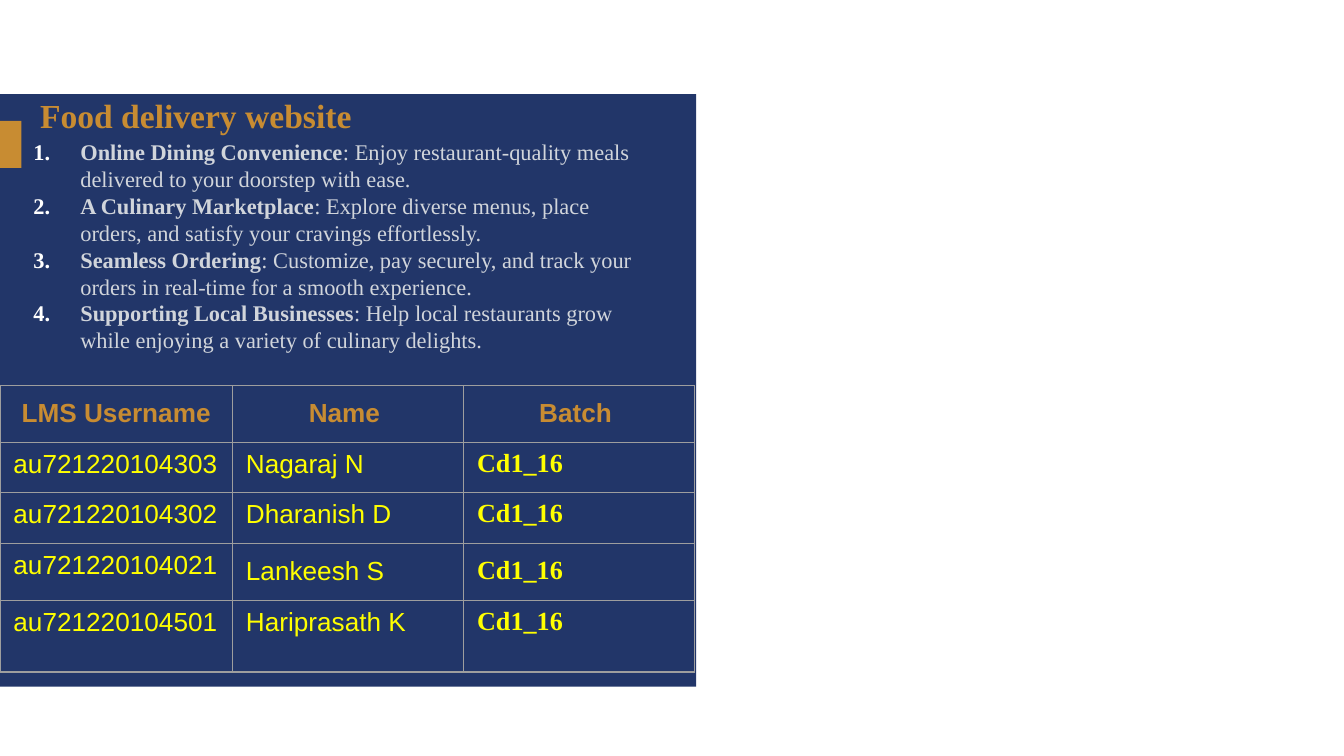
from lxml import etree
from pptx import Presentation, util as u
from pptx.dml.color import RGBColor
from pptx.enum import shapes, text
from pptx.oxml.ns import qn

NAVY, GOLD, GREY, YELLOW = "223669", "C88C32", "D1D5DB", "FFFF00"
WHITE, BORDER = "FFFFFF", "9E9E9E"
SERIF, SANS = "Times New Roman", "Arial"

TITLE = "Food delivery website"
POINTS = [
    ("Online Dining Convenience",
     "Enjoy restaurant-quality meals delivered to your doorstep with ease."),
    ("A Culinary Marketplace",
     "Explore diverse menus, place orders, and satisfy your cravings effortlessly."),
    ("Seamless Ordering",
     "Customize, pay securely, and track your orders in real-time for a smooth experience."),
    ("Supporting Local Businesses",
     "Help local restaurants grow while enjoying a variety of culinary delights."),
]
HEADER = ("LMS Username", "Name ", "Batch ")
BATCH = "Cd1_16"
MEMBERS = [
    ("au721220104303", "Nagaraj N"),
    ("au721220104302", "Dharanish D"),
    ("au721220104021", "Lankeesh S"),
    ("au721220104501", "Hariprasath K"),
]
COLUMNS = (1.73, 1.72, 1.72)
ROWS = (0.4, 0.37, 0.38, 0.4, 0.53)
DEEP_CELLS = {(3, 1), (3, 2)}  # body cells with the header's taller margins


def color(value):
    return RGBColor.from_string(value)


def set_font(font, name, size, hue, bold=False):
    font.name, font.size, font.bold = name, u.Pt(size), bold
    font.color.rgb = color(hue)


def add_block(page, place, fill):
    block = page.shapes.add_shape(shapes.MSO_SHAPE.RECTANGLE, *map(u.Inches, place))
    block.shadow.inherit = False
    block.fill.solid()
    block.fill.fore_color.rgb = color(fill)
    block.line.fill.background()


def add_text(page, place):
    frame = page.shapes.add_textbox(*map(u.Inches, place)).text_frame
    frame.word_wrap = True
    return frame


def number(para):
    """Turn on white automatic numbering with a hanging indent."""
    props = para._p.get_or_add_pPr()
    props.set("marL", str(u.Inches(0.5)))
    props.set("indent", str(u.Inches(-0.35)))
    tint = etree.SubElement(props, qn("a:buClr"))
    etree.SubElement(tint, qn("a:srgbClr"), val=WHITE)
    etree.SubElement(props, qn("a:buFont"), typeface=SERIF)
    etree.SubElement(props, qn("a:buAutoNum"), type="arabicPeriod")


def set_borders(cell):
    props = cell._tc.get_or_add_tcPr()
    for position, side in enumerate(("lnL", "lnR", "lnT", "lnB")):
        line = etree.Element(qn(f"a:{side}"), w=str(u.Pt(0.75)))
        fill = etree.SubElement(line, qn("a:solidFill"))
        etree.SubElement(fill, qn("a:srgbClr"), val=BORDER)
        props.insert(position, line)


def add_points(page):
    frame = add_text(page, (0, 0.98, 4.97, 1.78))
    for index, (lead, detail) in enumerate(POINTS):
        para = frame.paragraphs[0] if index == 0 else frame.add_paragraph()
        number(para)
        para.line_spacing = u.Pt(14.4)
        set_font(para.font, SERIF, 12, GREY)
        for words, bold in ((lead, True), (f": {detail}", False)):
            span = para.add_run()
            span.text = words
            set_font(span.font, SERIF, 12, GREY, bold)


def add_members(page):
    records = [HEADER] + [(*member, BATCH) for member in MEMBERS]
    table = page.shapes.add_table(
        len(ROWS), len(COLUMNS), 0, u.Inches(2.87),
        u.Inches(sum(COLUMNS)), u.Inches(sum(ROWS))).table
    table.first_row = table.horz_banding = False
    for column, width in zip(table.columns, COLUMNS):
        column.width = u.Inches(width)
    for r, (record, height) in enumerate(zip(records, ROWS)):
        table.rows[r].height = u.Inches(height)
        for c, words in enumerate(record):
            cell = table.cell(r, c)
            cell.fill.background()
            set_borders(cell)
            deep = r == 0 or (r, c) in DEEP_CELLS
            cell.margin_top = cell.margin_bottom = u.Pt(6.9 if deep else 3.6)
            cell.text = words
            para = cell.text_frame.paragraphs[0]
            if r == 0:
                para.alignment = text.PP_ALIGN.CENTER
                style = (SANS, 14, GOLD, True)
            elif c == 2:
                style = (SERIF, 14, YELLOW, True)
            else:
                style = (SANS, 14, YELLOW)
            set_font(para.font, *style)
            set_font(para.runs[0].font, *style)


def main():
    deck = Presentation()
    deck.slide_width = u.Inches(10)
    deck.slide_height = deck.slide_width * 9 // 16
    page = deck.slides.add_slide(deck.slide_layouts[6])
    add_block(page, (0, 0.7, 5.18, 4.41), NAVY)
    add_block(page, (0, 0.9, 0.16, 0.35), GOLD)

    title = add_text(page, (0.2, 0.76, 4.91, 0.2))
    title.vertical_anchor = text.MSO_ANCHOR.MIDDLE
    title.text = TITLE
    set_font(title.paragraphs[0].font, SERIF, 18, GOLD, True)

    add_points(page)
    add_members(page)
    deck.save("out.pptx")


if __name__ == "__main__":
    main()
